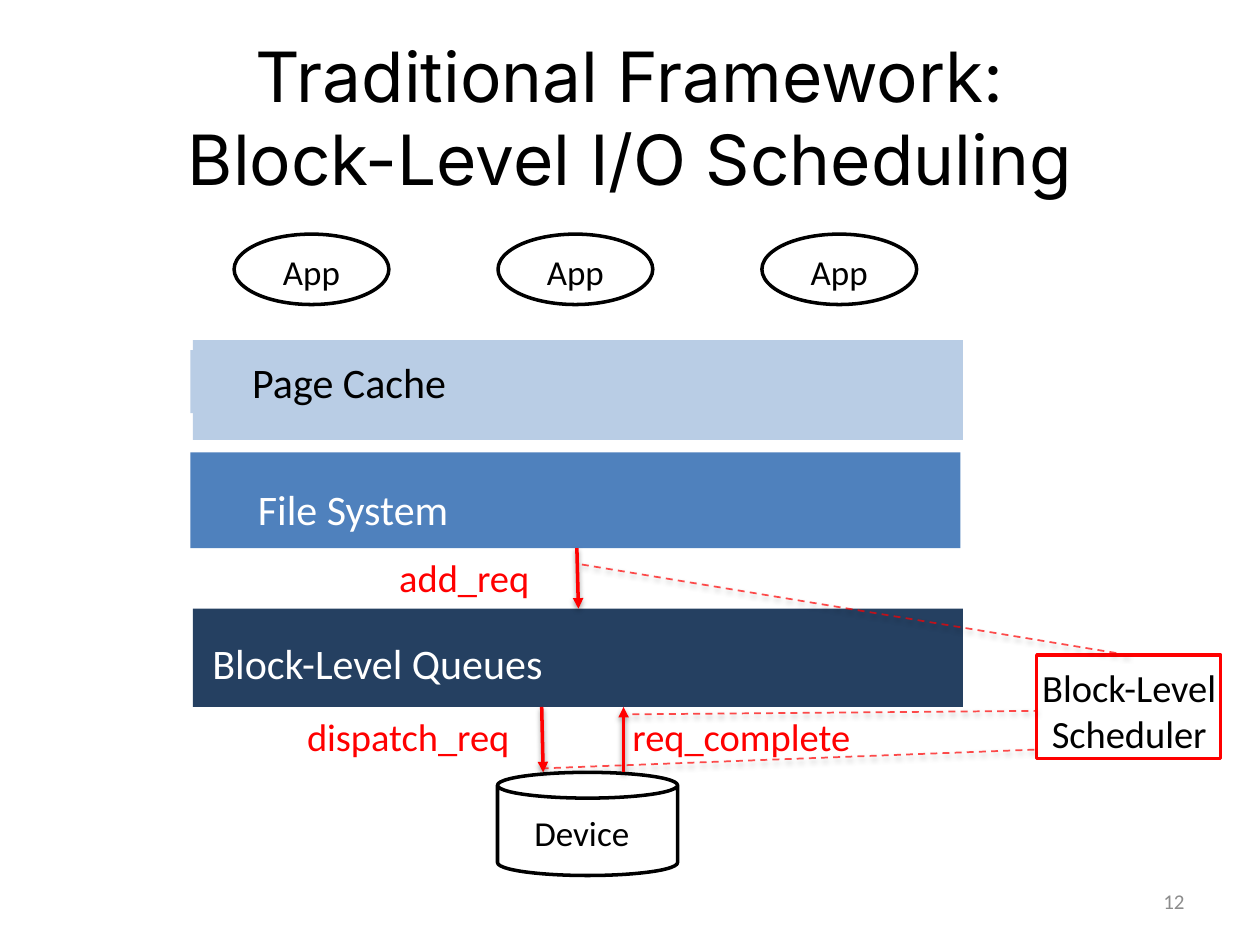
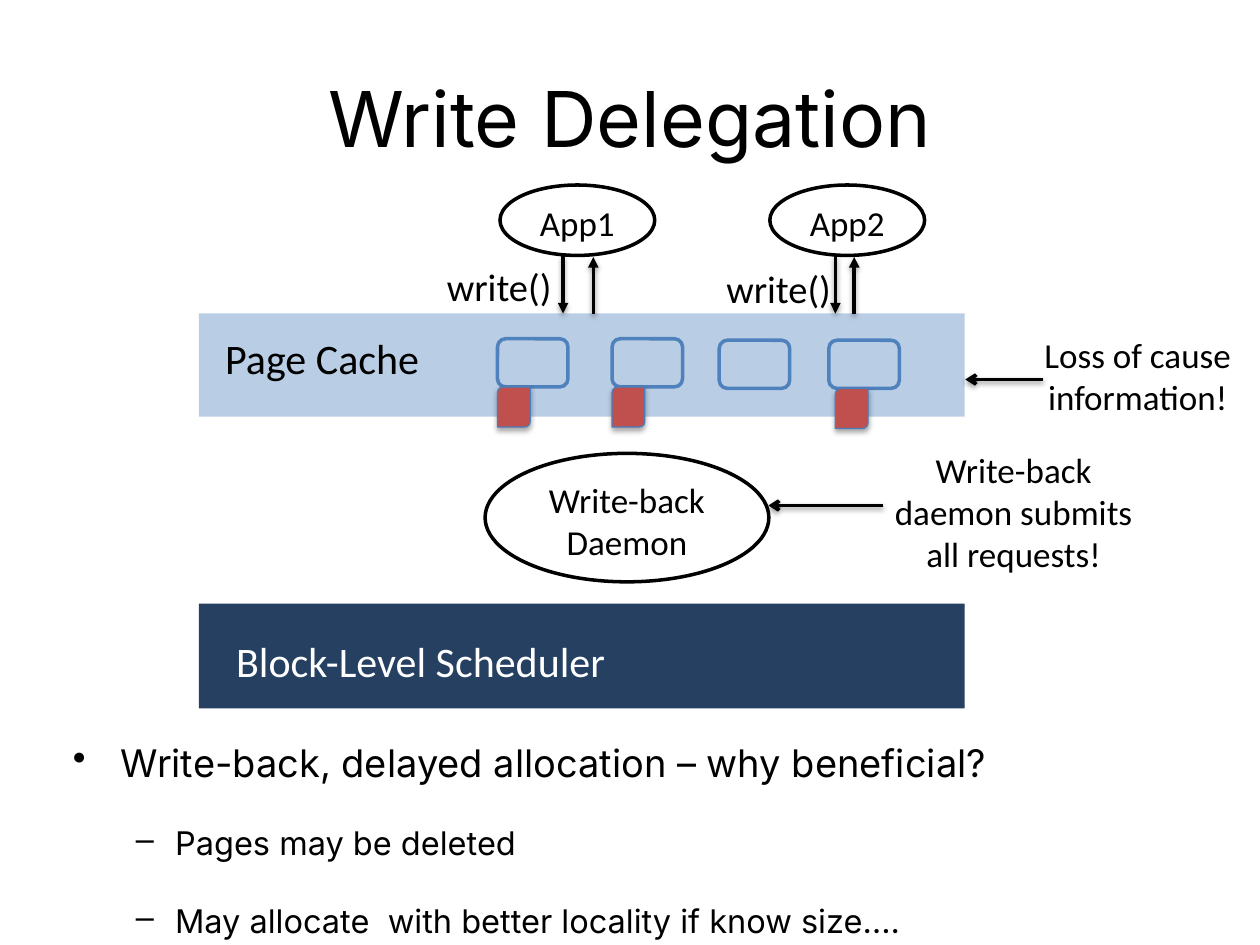
from lxml import etree
from pptx import Presentation
from pptx import util as u
from pptx.dml.color import RGBColor
from pptx.enum import dml, shapes, text
from pptx.oxml.ns import qn

BLACK, WHITE, RED, GRAY = "000000", "FFFFFF", "FF0000", "8C8C8C"
PALE, BLUE, NAVY = "B9CDE5", "4F81BD", "254061"
DIRTY, DIRTY_EDGE = "C0504D", "4B7EBC"
HEADING, PLAIN = "Inter", "Calibri"
KIND, ALIGN = shapes.MSO_SHAPE, text.PP_ALIGN
LEFT, CENTER, RIGHT = ALIGN.LEFT, ALIGN.CENTER, ALIGN.RIGHT
TITLE_BOX = (1.27, 0.76, 22.86, 3.18)
NUMBER_BOX = (18.21, 17.65, 5.92, 1.02)
APP_SIZE = (3.12, 1.42)


# Shared helpers
def color(value):
    return RGBColor.from_string(value)


def lengths(values):
    return [u.Cm(value) for value in values]


def inside(box, offset):
    """Turn a box given relative to another box into a slide box."""
    return (box[0] + offset[0], box[1] + offset[1], *offset[2:])


def assign(target, values):
    for name, value in values.items():
        setattr(target, name, value)


def add_child(parent, tag, **values):
    child = etree.SubElement(parent, qn(tag))
    for name, value in values.items():
        child.set(name, str(value))
    return child


def set_shadow(item, alpha=38, distance=1.6):
    properties = item._element.spPr
    for old in properties.findall(qn("a:effectLst")):
        properties.remove(old)
    effects = add_child(properties, "a:effectLst")
    shade = add_child(effects, "a:outerShdw", blurRad=u.Pt(3.1),
                      dist=u.Pt(distance), dir=5400000, rotWithShape=0)
    tint = add_child(shade, "a:srgbClr", val=BLACK)
    add_child(tint, "a:alpha", val=alpha * 1000)


def format_spans(para, size, ink, font):
    for span in para.runs:
        assign(span.font, {"size": u.Pt(size), "name": font})
        span.font.color.rgb = color(ink)


def write(item, words, size, ink=BLACK, align=CENTER, font=PLAIN,
          anchor=text.MSO_ANCHOR.TOP):
    frame = item.text_frame
    assign(frame, {"word_wrap": True, "vertical_anchor": anchor})
    para = frame.paragraphs[0]
    assign(para, {"text": words, "alignment": align})
    format_spans(para, size, ink, font)
    return frame


def add_label(page, box, words, size, **style):
    return write(page.shapes.add_textbox(*lengths(box)), words, size, **style)


def add_block(page, kind, box, fill=None, line=None, weight=2):
    block = page.shapes.add_shape(kind, *lengths(box))
    block.shadow.inherit = False
    if fill:
        block.fill.solid()
        block.fill.fore_color.rgb = color(fill)
    else:
        block.fill.background()
    if line:
        block.line.color.rgb = color(line)
        block.line.width = u.Pt(weight)
    else:
        block.line.fill.background()
    return block


def add_line(page, start, end, ink, weight=2):
    line = page.shapes.add_connector(shapes.MSO_CONNECTOR.STRAIGHT,
                                     *lengths(start + end))
    line.line.color.rgb = color(ink)
    line.line.width = u.Pt(weight)
    return line


def add_arrow(page, start, end, ink=BLACK, head="triangle"):
    arrow = add_line(page, start, end, ink)
    add_child(arrow.line._get_or_add_ln(), "a:tailEnd", type=head)
    set_shadow(arrow)


def add_dashes(page, start, end):
    line = add_line(page, start, end, RED, 1)
    line.line.dash_style = dml.MSO_LINE.DASH
    tint = line.line._get_or_add_ln().find(".//" + qn("a:srgbClr"))
    add_child(tint, "a:alpha", val=70000)
    set_shadow(line)


# Parts used on both slides
def add_page(deck, title, size):
    page = deck.slides.add_slide(deck.slide_layouts[6])
    add_label(page, TITLE_BOX, title, size, font=HEADING,
              anchor=text.MSO_ANCHOR.MIDDLE)
    return page


def add_layer(page, box, fill, words, label, ink=WHITE, align=CENTER,
              label_fill=None, indent=0.25):
    """A full-width layer; label is placed relative to its box."""
    add_block(page, KIND.RECTANGLE, box, fill)
    caption = add_block(page, KIND.RECTANGLE, inside(box, label), label_fill)
    frame = write(caption, words, 24, ink, align)
    frame.margin_left = u.Cm(indent)


def add_oval(page, box, words):
    write(add_block(page, KIND.OVAL, box, WHITE, BLACK), words, 20)


# Parts of the framework slide
def add_request(page, box, words, start, end, align=LEFT):
    """A red call name with its arrow, both relative to the box."""
    add_label(page, box, words, 22, ink=RED, align=align)
    add_arrow(page, inside(box, start), inside(box, end), RED)


def add_device(page, box):
    add_block(page, KIND.CAN, box, WHITE, BLACK)
    add_label(page, inside(box, (-1.5, 0.66, 6.4, 1.12)), "Device", 20)


def add_scheduler(page, box, hooks):
    """The scheduler box, with dashes from each hook to a point on it."""
    add_block(page, KIND.RECTANGLE, box, WHITE, RED)
    add_label(page, inside(box, (-0.41, 0.05, 4.55, 2.13)),
              "Block-Level Scheduler", 22)
    for hook, port in hooks:
        add_dashes(page, hook, inside(box, port))


def build_framework(deck):
    page = add_page(deck, "Traditional Framework:\vBlock-Level I/O Scheduling",
                    39.6)
    # Layers
    add_layer(page, (3.89, 6.86, 15.52, 2.01), PALE, "Page Cache",
              (-0.05, 0.2, 6.4, 1.27), BLACK, label_fill=PALE)
    add_layer(page, (3.84, 9.12, 15.52, 1.93), BLUE, "File System",
              (0.53, 0.51, 14.53, 1.27), align=LEFT, label_fill=BLUE,
              indent=0.83)
    add_layer(page, (3.89, 12.27, 15.52, 1.98), NAVY, "Block-Level Queues",
              (0.1, 0.46, 7.24, 1.27))
    # Requests and device
    add_request(page, (7.34, 11.05, 4.04, 1.19), "add_req",
                (4.29, 0), (4.32, 1.22), CENTER)
    add_device(page, (10.03, 15.57, 3.63, 2.08))
    add_request(page, (5.94, 14.25, 5.41, 1.19), "dispatch_req",
                (4.98, 0), (5.01, 1.32))
    add_request(page, (12.5, 14.25, 5.05, 1.19), "req_complete",
                (0.07, 1.32), (0.07, 0))
    # Scheduler hooks
    add_scheduler(page, (20.9, 13.21, 3.71, 2.08), [
        ((11.73, 11.38), (1.88, 0)),
        ((10.92, 15.49), (0, 1.9)),
        ((12.75, 14.4), (0, 1.12)),
    ])
    # Applications
    for index in range(3):
        add_oval(page, (4.72 + 5.32 * index, 4.72, *APP_SIZE), "App")
    # Slide number
    add_label(page, NUMBER_BOX, "12", 12, ink=GRAY, align=RIGHT,
              anchor=text.MSO_ANCHOR.MIDDLE)


# Parts of the delegation slide
def add_writer(page, box, name, label, align, down, up):
    """An application with its call name and the arrows below it."""
    add_oval(page, box, name)
    add_label(page, inside(box, label), "write()", 22, align=align)
    add_arrow(page, inside(box, (down, 1.43)), inside(box, (down, 2.59)))
    add_arrow(page, inside(box, (up, 2.59)), inside(box, (up, 1.45)))


def add_cached_pages(page, box):
    """Cached pages; a tag offset marks the dirty ones."""
    cached = [(6.02, 0.51, 0), (8.33, 0.51, 0),
              (10.49, 0.54, None), (12.7, 0.54, 0.13)]
    for left, top, tag in cached:
        frame = inside(box, (left, top, 1.42, 0.97))
        add_block(page, KIND.ROUNDED_RECTANGLE, frame, line=BLUE)
        if tag is not None:
            dirty = add_block(page, KIND.ROUND_2_DIAG_RECTANGLE,
                              inside(frame, (tag, 0.97, 0.66, 0.81)),
                              DIRTY, DIRTY_EDGE, 0.75)
            set_shadow(dirty, 35, 1.8)


def add_note(page, box, words, start, end):
    """A remark with an arrow to the left, both relative to the box."""
    add_arrow(page, inside(box, start), inside(box, end), head="arrow")
    add_label(page, box, words, 20)


def add_bullets(page, box, items):
    styles = [(21.7, "•", 0.97, -0.97), (18.6, "–", 2.06, -0.79)]
    frame = page.shapes.add_textbox(*lengths(box)).text_frame
    frame.word_wrap = True
    for index, (level, words) in enumerate(items):
        size, mark, margin, hang = styles[level]
        para = frame.add_paragraph() if index else frame.paragraphs[0]
        assign(para, {"text": words, "level": level,
                      "space_before": u.Pt(4), "space_after": u.Pt(18)})
        format_spans(para, size, BLACK, HEADING)
        properties = para._p.get_or_add_pPr()
        properties.set("marL", str(u.Cm(margin)))
        properties.set("indent", str(u.Cm(hang)))
        add_child(properties, "a:buChar", char=mark)


def build_delegation(deck):
    page = add_page(deck, "Write Delegation", 44)
    # Layers
    cache = (4.01, 6.32, 15.44, 2.08)
    add_layer(page, cache, PALE, "Page Cache", (0.28, 0.25, 5.64, 1.27),
              BLACK, LEFT, PALE)
    add_layer(page, (4.01, 12.17, 15.44, 2.11), NAVY, "Block-Level Scheduler",
              (0.28, 0.51, 8.38, 1.27))
    add_cached_pages(page, cache)
    # Applications
    add_writer(page, (10.08, 3.73, *APP_SIZE), "App1",
               (-1.32, 1.45, 2.69, 1.19), LEFT, 1.27, 1.88)
    add_writer(page, (15.52, 3.73, *APP_SIZE), "App2",
               (-1.75, 1.48, 3.23, 1.19), RIGHT, 1.32, 1.7)
    # Daemon and remarks
    add_oval(page, (9.78, 9.14, 5.72, 2.59), "Write-back Daemon")
    add_note(page, (20.75, 6.6, 4.37, 1.96), "Loss of cause information!",
             (0.28, 1.05), (-1.29, 1.05))
    add_note(page, (17.5, 8.92, 5.87, 2.82),
             "Write-back daemon submits all requests!",
             (0.31, 1.27), (-2.01, 1.27))
    # Discussion
    add_bullets(page, (1.22, 14.78, 22.86, 4.57), [
        (0, "Write-back, delayed allocation – why beneficial?"),
        (1, "Pages may be deleted"),
        (1, "May allocate  with better locality if know size…."),
    ])


deck = Presentation()
assign(deck, {"slide_width": u.Cm(25.4), "slide_height": u.Cm(19.05)})
build_framework(deck)
build_delegation(deck)
deck.save("out.pptx")
